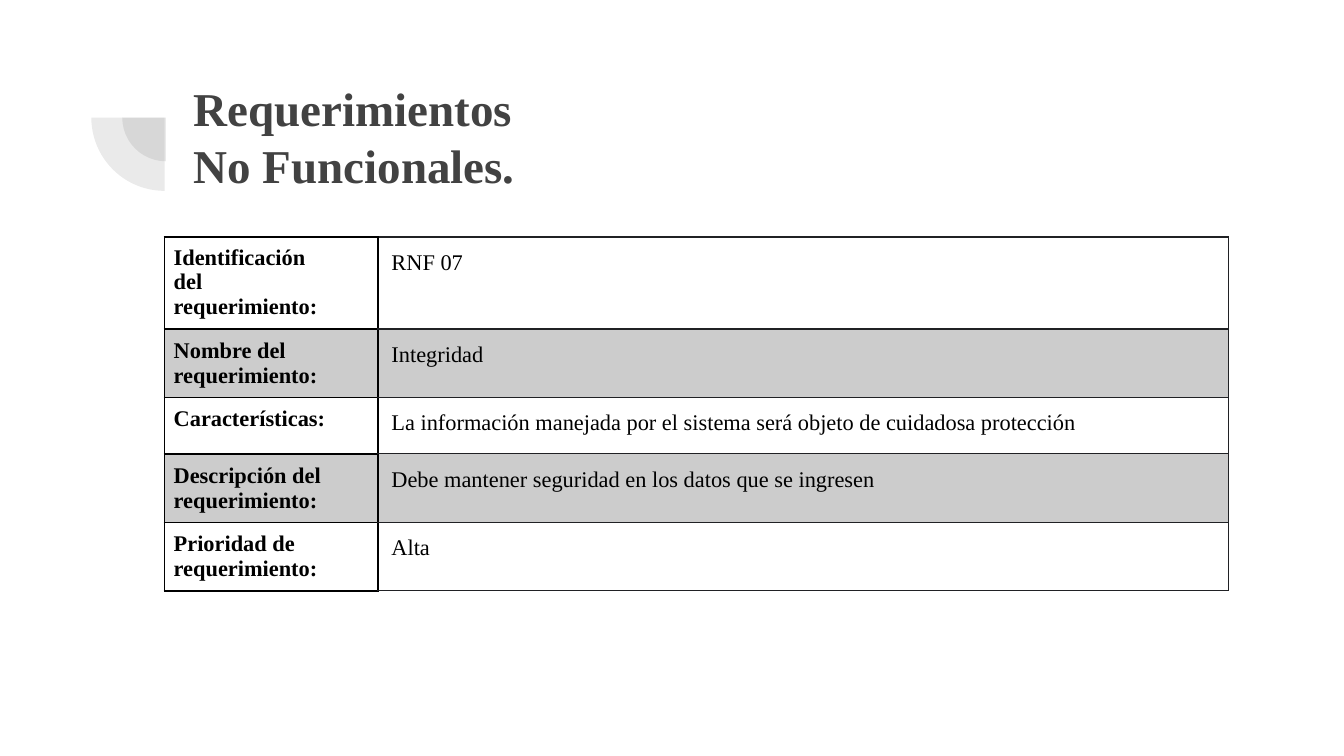
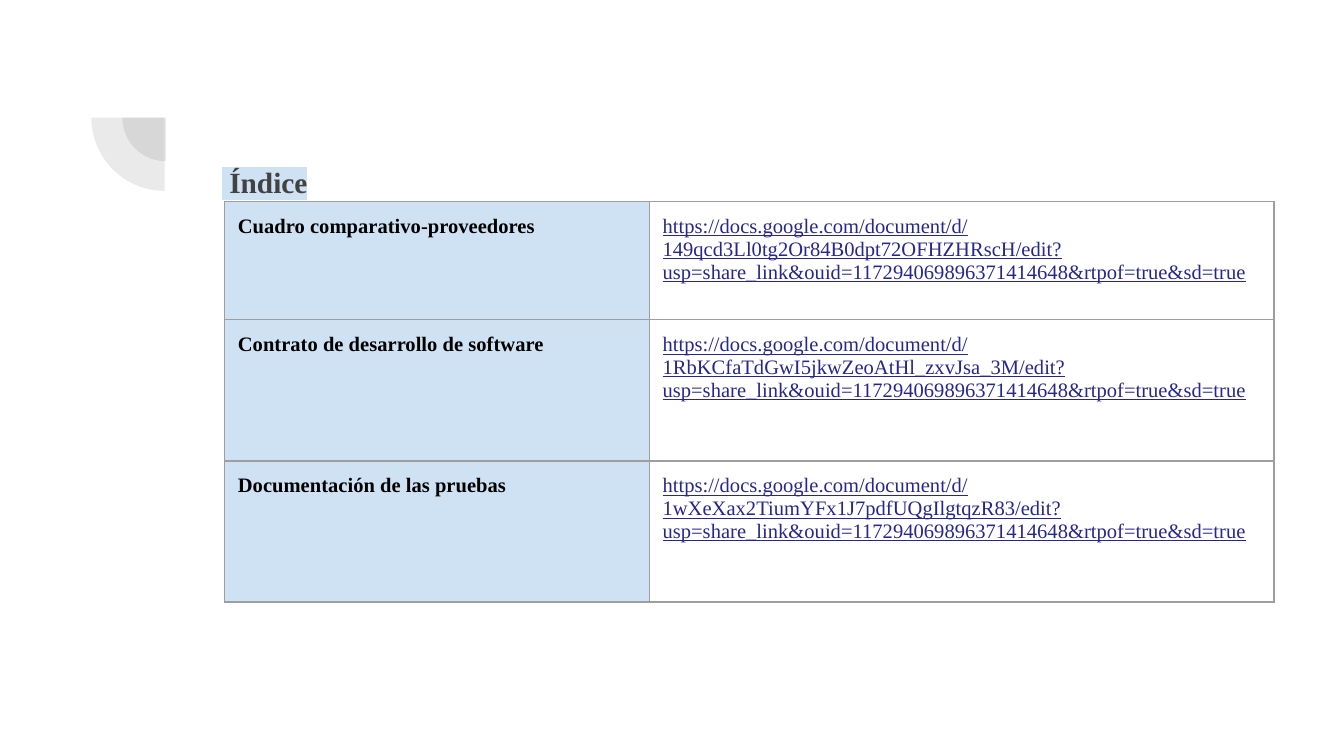
from lxml import etree
from pptx import Presentation
from pptx.dml.color import RGBColor
from pptx.enum.shapes import MSO_SHAPE
from pptx.enum.text import MSO_ANCHOR, MSO_AUTO_SIZE, PP_ALIGN
from pptx.oxml.ns import qn
from pptx.util import Inches, Pt

PIE = MSO_SHAPE.PIE
TOP, MIDDLE = MSO_ANCHOR.TOP, MSO_ANCHOR.MIDDLE
LEFT, CENTER = PP_ALIGN.LEFT, PP_ALIGN.CENTER
NO_AUTOFIT = MSO_AUTO_SIZE.NONE
TITLE_ONLY = 5
GRID_COLUMNS, GRID_ROWS = 100, 56.25
FONT = "Times New Roman"

COLORS = {
    "white": "FFFFFF",
    "black": "000000",
    "title": "424242",
    "band": "CCCCCC",
    "sky": "CFE2F3",
    "link": "27278B",
    "ink": "202124",
    "gray": "9E9E9E",
}

LABEL = {"bold": True, "underline": False, "color": "black"}
VALUE = {"bold": False, "underline": False, "color": "black"}
LINK = {"bold": False, "underline": True, "color": "link"}
DOCUMENT = "https://docs.google.com/document/d/{}/edit?usp=share_link&ouid=117294069896371414648&rtpof=true&sd=true"

PAGES = [
    {
        "title": "Requerimientos\nNo Funcionales.",
        "title_box": (13.4, 4.7, 76.9, 10.9),
        "title_size": 25.2, "anchor": MIDDLE, "align": LEFT, "highlight": None,
        "origin": (12.23, 17.63),
        "columns": (15.9, 63.3),
        "rows": (6.8, 5.1, 4.2, 5.1, 5.1),
        "cells": [
            ("Identificación del\nrequerimiento:", "RNF 07"),
            ("Nombre del\nrequerimiento:", "Integridad"),
            ("Características:", "La información manejada por el sistema será objeto de cuidadosa protección"),
            ("Descripción del requerimiento:", "Debe mantener seguridad en los datos que se ingresen"),
            ("Prioridad de\nrequerimiento:", "Alta"),
        ],
        "size": 12, "first_spacing": 0.96,
        "formats": (LABEL, VALUE),
        "fills": (("white", "white"), ("band", "band")),
        "borders": (("black", 1), ("ink", 0.75)),
        "margins": ((0.7, 0.7, 3.5), (1, 1, 1)),
    },
    {
        "title": " Índice",
        "title_box": (12.7, 11.2, 14, 17.7),
        "title_size": 15.7, "anchor": TOP, "align": CENTER, "highlight": "sky",
        "origin": (16.7, 15),
        "columns": (31.6, 46.5),
        "rows": (8.8, 10.5, 10.5),
        "cells": [
            ("Cuadro comparativo-proveedores", DOCUMENT.format("149qcd3Ll0tg2Or84B0dpt72OFHZHRscH")),
            ("Contrato de desarrollo de software", DOCUMENT.format("1RbKCfaTdGwI5jkwZeoAtHl_zxvJsa_3M")),
            ("Documentación de las pruebas", DOCUMENT.format("1wXeXax2TiumYFx1J7pdfUQgIlgtqzR83")),
        ],
        "size": 11, "first_spacing": 1,
        "formats": (LABEL, LINK),
        "fills": (("sky", "white"),),
        "borders": (("gray", 0.75), ("gray", 0.75)),
        "margins": ((1, 1, 1), (1, 1, 1)),
    },
]

presentation = Presentation()
presentation.slide_width = Pt(720)
presentation.slide_height = Pt(405)
column_unit = presentation.slide_width / GRID_COLUMNS
row_unit = presentation.slide_height / GRID_ROWS


def place(left, top, width, height):
    return (round(left * column_unit), round(top * row_unit),
            round(width * column_unit), round(height * row_unit))


def write(text_frame, text, size, values, align):
    text_frame.text = text
    for paragraph in text_frame.paragraphs:
        paragraph.line_spacing = 1
        paragraph.alignment = align
        for run in paragraph.runs:
            run.font.name = FONT
            run.font.size = Pt(size)
            run.font.color.rgb = RGBColor.from_string(COLORS[values["color"]])
            for name in ("bold", "underline"):
                setattr(run.font, name, values[name])


for page in PAGES:
    slide = presentation.slides.add_slide(presentation.slide_layouts[TITLE_ONLY])

    for box in ((9.1, 5.5, 6.5, 6.5), (6.8, 3.3, 10.9, 10.9)):
        pie = slide.shapes.add_shape(PIE, *place(*box))
        pie.rotation = 270
        pie.adjustments[0], pie.adjustments[1] = 108, 162
        pie.shadow.inherit = False
        pie.line.fill.background()
        pie.fill.solid()
        pie.fill.fore_color.rgb = RGBColor.from_string(COLORS["title"])
        color = pie.fill._xPr.find(qn("a:solidFill"))[0]
        etree.SubElement(color, qn("a:alpha"), val="11000")

    title = slide.shapes.title
    title.left, title.top, title.width, title.height = place(*page["title_box"])
    title_frame = title.text_frame
    frame_format = {"word_wrap": True, "auto_size": NO_AUTOFIT, "vertical_anchor": page["anchor"]}
    frame_format.update(dict.fromkeys(("margin_left", "margin_right", "margin_top", "margin_bottom"), Inches(0.1)))
    for name, value in frame_format.items():
        setattr(title_frame, name, value)
    write(title_frame, page["title"], page["title_size"],
          {"bold": True, "underline": False, "color": "title"}, page["align"])
    if page["highlight"]:
        for run in title_frame.paragraphs[0].runs:
            highlight = etree.Element(qn("a:highlight"))
            etree.SubElement(highlight, qn("a:srgbClr"), val=COLORS[page["highlight"]])
            run.font._element.find(qn("a:solidFill")).addnext(highlight)

    table_box = place(*page["origin"], sum(page["columns"]), sum(page["rows"]))
    table = slide.shapes.add_table(len(page["rows"]), len(page["columns"]), *table_box).table
    table.first_row = table.horz_banding = False
    for column, width in zip(table.columns, page["columns"]):
        column.width = round(width * column_unit)
    for row, height in zip(table.rows, page["rows"]):
        row.height = round(height * row_unit)

    for row_index, texts in enumerate(page["cells"]):
        fills = page["fills"][row_index % len(page["fills"])]
        for column_index, text in enumerate(texts):
            cell = table.cell(row_index, column_index)
            left, vertical, right = page["margins"][column_index]
            margins = {"margin_left": left, "margin_right": right,
                       "margin_top": vertical, "margin_bottom": vertical}
            for name, value in margins.items():
                setattr(cell, name, round(value * column_unit))
            cell.vertical_anchor = TOP
            write(cell.text_frame, text, page["size"], page["formats"][column_index], LEFT)
            cell.fill.solid()
            cell.fill.fore_color.rgb = RGBColor.from_string(COLORS[fills[column_index]])
            border_color, border_width = page["borders"][column_index]
            properties = cell._tc.get_or_add_tcPr()
            for position, side in enumerate(("lnL", "lnR", "lnT", "lnB")):
                border = etree.Element(qn(f"a:{side}"), w=str(Pt(border_width)))
                fill = etree.SubElement(border, qn("a:solidFill"))
                etree.SubElement(fill, qn("a:srgbClr"), val=COLORS[border_color])
                properties.insert(position, border)

    first_label = table.cell(0, 0).text_frame
    first_label.paragraphs[0].line_spacing = page["first_spacing"]
    for paragraph in first_label.paragraphs[1:]:
        paragraph.space_before = Pt(0.3)

presentation.save("out.pptx")
